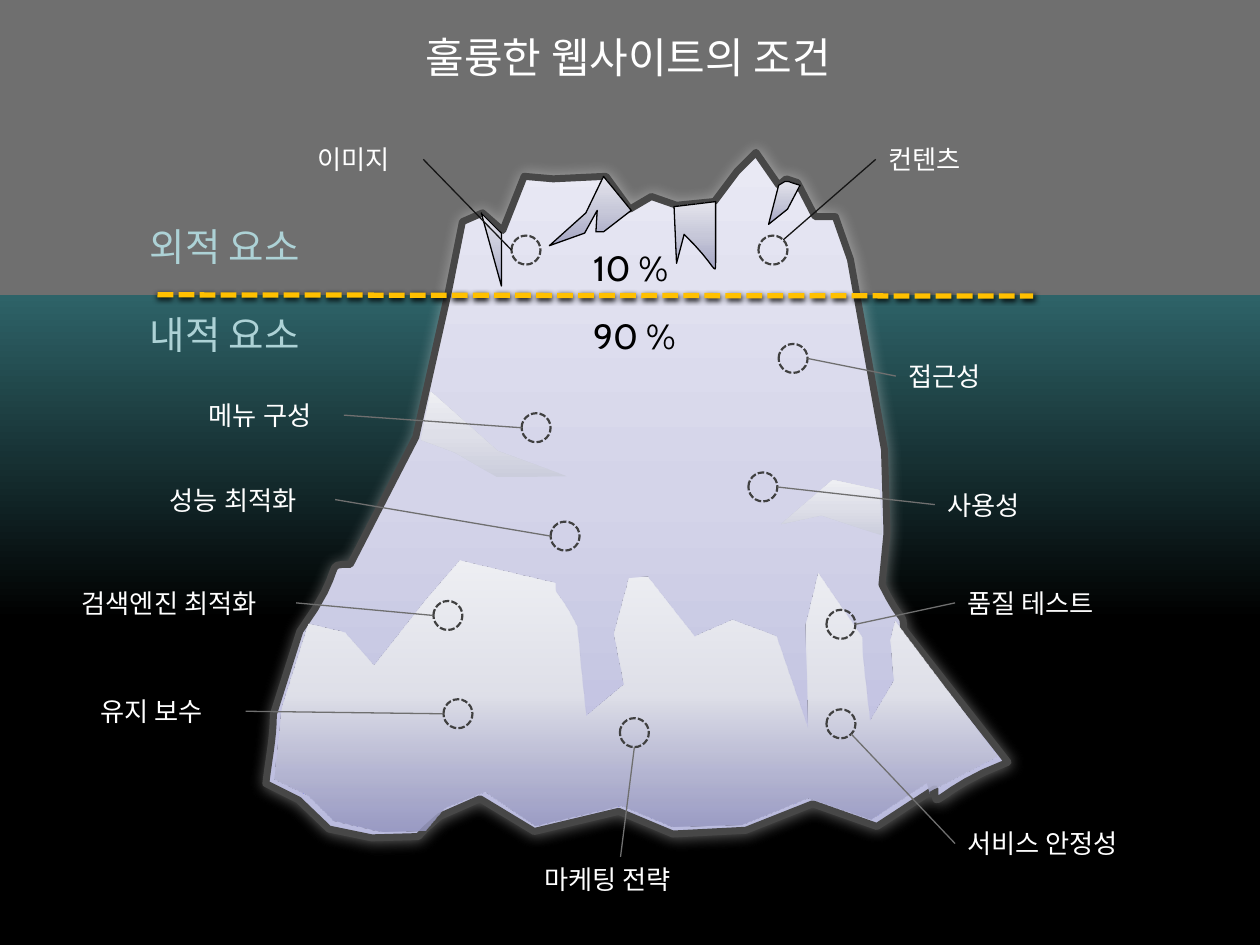
from math import cos, radians, sin

from lxml.etree import SubElement
from pptx import Presentation
from pptx.dml.color import RGBColor
from pptx.enum.dml import MSO_LINE
from pptx.enum.shapes import MSO_CONNECTOR, MSO_SHAPE
from pptx.enum.text import MSO_AUTO_SIZE
from pptx.oxml.ns import qn
from pptx.util import Inches, Pt

WHITE = RGBColor(0xFF, 0xFF, 0xFF)
BLACK = RGBColor(0, 0, 0)
GRAY = RGBColor(0x6F, 0x6F, 0x6F)
TEAL = RGBColor(0x2E, 0x63, 0x68)
AQUA = RGBColor(0xAD, 0xD2, 0xD6)
GOLD = RGBColor(0xFF, 0xC0, 0x00)
EDGE = RGBColor(0x47, 0x47, 0x47)
RING = RGBColor(0x40, 0x40, 0x40)
INK = RGBColor(0x16, 0x16, 0x16)

# Gradients run from bottom to top: percent, colour, opacity
SNOW = [(50, RGBColor(0xDE, 0xDF, 0xE8), 100), (100, RGBColor(0xEE, 0xEF, 0xF3), 100)]
SEA = [(50, BLACK, 100), (100, TEAL, 100)]
ICE = [(0, RGBColor(0xBA, 0xBB, 0xDE), 100), (50, RGBColor(0xD4, 0xD4, 0xE9), 100),
       (100, RGBColor(0xE9, 0xE9, 0xF4), 100)]
ROCK = [(0, RGBColor(0xA3, 0xA4, 0xC3), 100), (50, RGBColor(0xC7, 0xC8, 0xD9), 100),
        (100, RGBColor(0xE4, 0xE4, 0xEC), 100)]
DRIFT = [(0, RGBColor(0x93, 0x94, 0xBE), 84)] + SNOW
LEDGE = [(0, RGBColor(0xCB, 0xCD, 0xDC), 100)] + SNOW

# Outlines in inches; six numbers make a curve, two make a corner
BERG = [
    (3.67, 1.76), (3.83, 1.69), (3.99, 1.83), (4.16, 1.4), (4.39, 1.42), (4.81, 1.4),
    (5, 1.66), (5.17, 1.56), (5.37, 1.63), (5.67, 1.6), (5.85, 1.36), (6, 1.21),
    (6.18, 1.47), (6.24, 1.42), (6.33, 1.45), (6.47, 1.72), (6.63, 1.72), (6.75, 2.06),
    (7.02, 3.57), (7.04, 4.23), (7, 4.64), (7.17, 4.98, 7.17, 4.85, 7.17, 4.99),
    (8, 6.05), (7.42, 6.27, 7.42, 6.47, 7.42, 6.26), (6.96, 6.56), (6.45, 6.38),
    (5.92, 6.59), (5.34, 6.62), (4.91, 6.44), (4.24, 6.6), (3.81, 6.34), (3.49, 6.48),
    (3.33, 6.62, 3.39, 6.57, 3.32, 6.64), (2.95, 6.65), (2.61, 6.58), (2.37, 6.35),
    (2.11, 6.22), (2.13, 6.04, 2.17, 5.86, 2.17, 5.67), (2.38, 5.01),
    (2.77, 4.47, 2.55, 4.48, 2.78, 4.48), (3.3, 3.47), (3.56, 2.31)]
CRACKS = [
    [(4.79, 1.4), (4.65, 1.69), (4.36, 1.95), (4.64, 1.85), (4.74, 1.67), (4.73, 1.84),
     (4.79, 1.84), (5.01, 1.67)],
    [(6.18, 1.47), (6.1, 1.78), (6.25, 1.66), (6.35, 1.47),
     (6.24, 1.44, 6.28, 1.44, 6.23, 1.44)],
    [(5.35, 1.64), (5.37, 2.09), (5.43, 1.86), (5.68, 2.1, 5.68, 2.21, 5.68, 2.08),
     (5.68, 1.6)],
    [(3.82, 1.69), (3.98, 2.27), (3.98, 1.85)]]
BASE = [
    (2.24, 5.61), (2.18, 6.18), (2.45, 6.31), (2.65, 6.51), (3.04, 6.6), (3.38, 6.59),
    (3.53, 6.41), (3.85, 6.28), (4.25, 6.55), (4.93, 6.39), (5.34, 6.56), (5.89, 6.54),
    (6.41, 6.33), (6.91, 6.5), (7.35, 6.21), (7.37, 6.29, 7.37, 6.32, 7.37, 6.28),
    (7.91, 6), (7.1, 4.93), (7.06, 5.08), (7.09, 5.4), (6.9, 5.72),
    (6.88, 5.5, 6.84, 5.28, 6.84, 5.06), (6.49, 4.55), (6.39, 4.96), (6.41, 5.78),
    (6.16, 5.05), (5.81, 4.92), (5.51, 5.05), (5.14, 4.58), (4.99, 4.59), (4.87, 5.03),
    (4.95, 5.43), (4.65, 5.68), (4.58, 4.97), (4.41, 4.64, 4.41, 4.76, 4.41, 4.63),
    (3.65, 4.45), (3.39, 4.75), (2.97, 5.28), (2.74, 5.02), (2.45, 4.95)]
SHELVES = [
    [(3.42, 3.11), (3.95, 3.58), (4.5, 3.78), (3.95, 3.79), (3.61, 3.59), (3.34, 3.49)],
    [(7, 4.25), (6.52, 4.09), (6.2, 4.16), (6.61, 3.81), (6.98, 3.89)]]

# Label, its left, top and width, ring left and top, ring angle, label side, line colour
TOP, LEFT, RIGHT = 0, 1, 3
NOTES = [
    ("이미지", 2.42, 1.09, 0.94, 4.06, 1.87, 180, RIGHT, INK),
    ("컨텐츠", 6.95, 1.09, 1.41, 6.02, 1.87, -45, LEFT, INK),
    ("접근성", 7.11, 2.81, 1.88, 6.18, 2.73, 0, LEFT, GRAY),
    ("사용성", 7.42, 3.83, 1.88, 5.94, 3.75, 0, LEFT, GRAY),
    ("품질 테스트", 7.58, 4.61, 1.88, 6.56, 4.84, 0, LEFT, GRAY),
    ("서비스 안정성", 7.58, 6.52, 1.88, 6.56, 5.63, 45, LEFT, GRAY),
    ("마케팅 전략", 4.22, 6.8, 1.41, 4.92, 5.7, 90, TOP, GRAY),
    ("유지 보수", 0.7, 5.47, 1.25, 3.52, 5.55, 180, RIGHT, GRAY),
    ("검색엔진 최적화", 0.55, 4.61, 1.8, 3.44, 4.77, 180, RIGHT, GRAY),
    ("성능 최적화", 1.25, 3.79, 1.41, 4.37, 4.14, 180, RIGHT, GRAY),
    ("메뉴 구성", 1.56, 3.12, 1.17, 4.14, 3.28, 180, RIGHT, GRAY)]


def trace(steps):
    """Turn corners and curves into a list of points."""
    points = []
    for step in steps:
        if len(step) == 2:
            points.append(step)
            continue
        nodes = [points[-1], step[:2], step[2:4], step[4:]]
        for t in (k / 8 for k in range(1, 9)):
            parts = ((1 - t) ** 3, 3 * t * (1 - t) ** 2, 3 * t * t * (1 - t), t ** 3)
            points.append(tuple(sum(w * n[i] for w, n in zip(parts, nodes)) for i in (0, 1)))
    return [(Inches(x), Inches(y)) for x, y in points]


class Deck:
    font = "Cabin"
    ring = 0.23

    def __init__(self):
        self.prs = Presentation()
        self.prs.slide_width, self.prs.slide_height = Inches(10), Inches(7.5)
        self.slide = self.prs.slides.add_slide(self.prs.slide_layouts[6])
        self.shapes = self.slide.shapes

    def paint(self, shape, fill):
        if fill is None:
            shape.fill.background()
        elif isinstance(fill, RGBColor):
            shape.fill.solid()
            shape.fill.fore_color.rgb = fill
        else:
            shape.fill.gradient()
            shape.fill.gradient_angle = 90
            stops = shape._element.spPr.find(".//" + qn("a:gsLst"))
            for old in list(stops):
                stops.remove(old)
            for place, color, solid in fill:
                stop = SubElement(stops, qn("a:gs"), pos=str(place * 1000))
                tint = SubElement(stop, qn("a:srgbClr"), val=str(color))
                if solid < 100:
                    SubElement(tint, qn("a:alpha"), val=str(solid * 1000))

    def stroke(self, shape, color=None, width=0.75, dash=None, glow=None):
        if color is None:
            shape.line.fill.background()
        else:
            shape.line.color.rgb = color
            shape.line.width = Pt(width)
            if dash:
                shape.line.dash_style = dash
        effects = SubElement(shape._element.spPr, qn("a:effectLst"))
        if glow:
            tone, solid, blur, dist, angle = glow
            cast = SubElement(effects, qn("a:outerShdw"), blurRad=str(Pt(blur)),
                              dist=str(Pt(dist)), dir=str(angle * 60000),
                              algn="ctr", rotWithShape="0")
            tint = SubElement(cast, qn("a:srgbClr"), val=str(tone))
            SubElement(tint, qn("a:alpha"), val=str(solid * 1000))

    def block(self, kind, x, y, w, h, fill=None, **line):
        shape = self.shapes.add_shape(kind, Inches(x), Inches(y), Inches(w), Inches(h))
        self.paint(shape, fill)
        self.stroke(shape, **line)

    def outline(self, steps, fill, home=None, **line):
        first, *rest = trace(steps)
        pen = (home or self.shapes).build_freeform(*first)
        pen.add_line_segments(rest, close=True)
        shape = pen.convert_to_shape()
        self.paint(shape, fill)
        self.stroke(shape, **line)

    def text(self, words, x, y, w, h, size, color):
        box = self.shapes.add_textbox(Inches(x), Inches(y), Inches(w), Inches(h))
        frame = box.text_frame
        frame.word_wrap = True
        frame.auto_size = MSO_AUTO_SIZE.SHAPE_TO_FIT_TEXT
        frame.text = words
        font = frame.paragraphs[0].runs[0].font
        font.name, font.size, font.color.rgb = self.font, Pt(size), color
        return box

    def line(self, x, y, x2, y2, **line):
        wire = self.shapes.add_connector(
            MSO_CONNECTOR.STRAIGHT, Inches(x), Inches(y), Inches(x2), Inches(y2))
        self.stroke(wire, **line)
        return wire

    def note(self, words, x, y, w, left, top, angle, side, color):
        half = self.ring / 2
        self.block(MSO_SHAPE.OVAL, left, top, self.ring, self.ring,
                   color=RING, width=1.25, dash=MSO_LINE.SQUARE_DOT)
        label = self.text(words, x, y, w, 0.35, 15, WHITE)
        turn = radians(angle)
        wire = self.line(left + half + half * cos(turn), top + half + half * sin(turn),
                         x, y, color=color)
        wire.end_connect(label, side)


def main():
    deck = Deck()

    # Sky and sea
    deck.block(MSO_SHAPE.RECTANGLE, 0, 0, 10, 2.34, GRAY)
    deck.block(MSO_SHAPE.RECTANGLE, 0, 2.34, 10, 5.16, SEA)

    # Iceberg
    deck.outline(BERG, ICE, color=EDGE, width=4, glow=(WHITE, 37, 8, 0, 0))
    group = deck.shapes.add_group_shape().shapes
    for crack in CRACKS:
        deck.outline(crack, ROCK, group, color=BLACK)
    deck.outline(BASE, DRIFT)
    for shelf in SHELVES:
        deck.outline(shelf, LEDGE)

    # Water line
    deck.line(1.25, 2.34, 8.2, 2.35, color=GOLD, width=3, dash=MSO_LINE.SQUARE_DOT,
              glow=(BLACK, 100, 3, 1, 90))

    # Title, sides and shares
    deck.text("훌륭한 웹사이트의 조건", 3.28, 0.2, 4.45, 0.5, 24, WHITE)
    for side, y, share, y2 in (("외적 요소", 1.72, "10 %", 1.91),
                               ("내적 요소", 2.42, "90 %", 2.45)):
        deck.text(side, 1.09, y, 2.27, 0.47, 22, AQUA)
        deck.text(share, 4.61, y2, 1.25, 0.44, 20, BLACK)

    # Rings with labels
    for note in NOTES:
        deck.note(*note)

    deck.prs.save("out.pptx")


if __name__ == "__main__":
    main()
